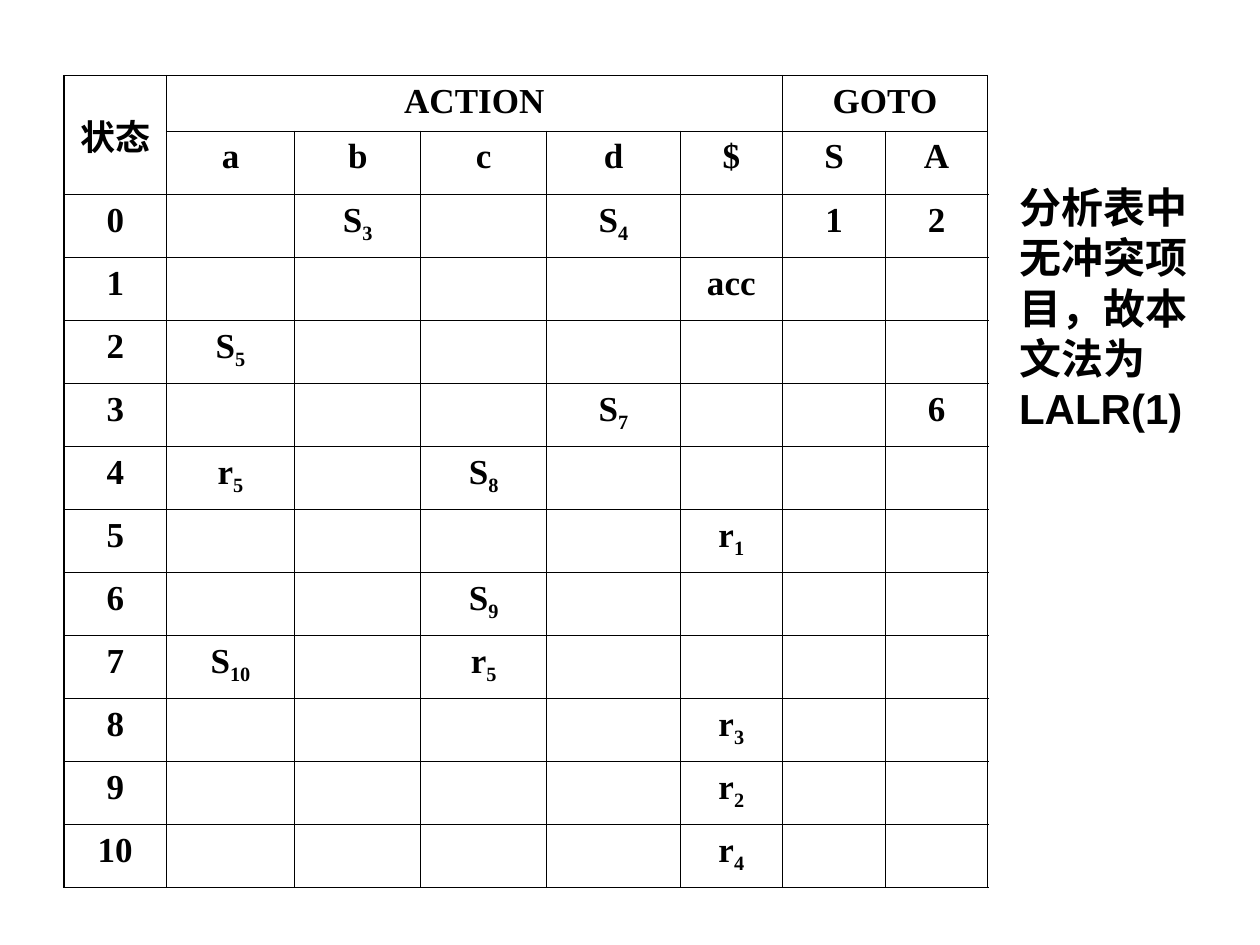
"""Build a slide with an LALR(1) parsing table and its conclusion."""
from dataclasses import dataclass
from typing import NamedTuple

from lxml.etree import SubElement
from pptx import Presentation
from pptx.dml.color import RGBColor
from pptx.enum.text import MSO_ANCHOR as Anchor, MSO_AUTO_SIZE as AutoSize, PP_ALIGN as Align
from pptx.oxml.ns import qn
from pptx.util import Inches, Pt


@dataclass(frozen=True)
class Theme:
    ink: str = "000000"
    table_font: str = "Times New Roman"
    note_font: str = "Arial"
    table_size: float = 20
    note_size: float = 24
    inner_line: float = 0.45
    outer_line: float = 1.08


class Entry(NamedTuple):
    text: str
    sub: str = ""


class Header(NamedTuple):
    row: int
    col: int
    last_row: int
    last_col: int
    text: str


THEME = Theme()
HEADERS = [
    Header(0, 0, 1, 0, "状态"),
    Header(0, 1, 0, 5, "ACTION"),
    Header(0, 6, 0, 7, "GOTO"),
]
SYMBOLS = "abcd$SA"
STATES = [
    {"b": Entry("S", "3"), "d": Entry("S", "4"), "S": Entry("1"), "A": Entry("2")},
    {"$": Entry("acc")},
    {"a": Entry("S", "5")},
    {"d": Entry("S", "7"), "A": Entry("6")},
    {"a": Entry("r", "5"), "c": Entry("S", "8")},
    {"$": Entry("r", "1")},
    {"c": Entry("S", "9")},
    {"a": Entry("S", "10"), "c": Entry("r", "5")},
    {"$": Entry("r", "3")},
    {"$": Entry("r", "2")},
    {"$": Entry("r", "4")},
]
COL_WIDTHS = [0.81, 1.02, 1, 1, 1.06, 0.81, 0.82, 0.81]
ROW_HEIGHTS = [0.44] * 2 + [0.5] * len(STATES)
NOTE = "分析表中无冲突项目，故本文法为LALR(1)"


def add_run(p, text: str, font: str, size: float, sub: bool = False) -> None:
    """Add a bold run, lowered when it is a subscript."""
    r = p.add_run()
    r.text = text
    for name, value in {"name": font, "size": Pt(size), "bold": True}.items():
        setattr(r.font, name, value)
    r.font.color.rgb = RGBColor.from_string(THEME.ink)
    if sub:
        r.font._element.set("baseline", "-25000")


def write_entry(cell, entry: Entry) -> None:
    """Write a centred entry with its optional subscript."""
    p = cell.text_frame.paragraphs[0]
    p.alignment = Align.CENTER
    add_run(p, entry.text, THEME.table_font, THEME.table_size)
    if entry.sub:
        add_run(p, entry.sub, THEME.table_font, THEME.table_size, sub=True)


def set_borders(cell, outer: dict[str, bool]) -> None:
    """Rule the four sides of a cell, heavier on the table's edge."""
    tc_pr = cell._tc.get_or_add_tcPr()
    for side, is_outer in outer.items():
        width = Pt(THEME.outer_line if is_outer else THEME.inner_line)
        ln = SubElement(tc_pr, qn(f"a:ln{side}"), w=str(int(width)))
        SubElement(SubElement(ln, qn("a:solidFill")), qn("a:srgbClr"), val=THEME.ink)


def add_parsing_table(s, left: float, top: float) -> None:
    """Draw the ACTION and GOTO table."""
    n_rows, n_cols = len(ROW_HEIGHTS), len(COL_WIDTHS)
    frame = s.shapes.add_table(n_rows, n_cols, Inches(left), Inches(top),
                               Inches(sum(COL_WIDTHS)), Inches(sum(ROW_HEIGHTS)))
    table = frame.table
    table.first_row = table.horz_banding = False
    for column, width in zip(table.columns, COL_WIDTHS):
        column.width = Inches(width)
    for row, height in zip(table.rows, ROW_HEIGHTS):
        row.height = Inches(height)

    for i in range(n_rows):
        for j in range(n_cols):
            cell = table.cell(i, j)
            set_borders(cell, {"L": j == 0, "R": j == n_cols - 1,
                               "T": i == 0, "B": i == n_rows - 1})
            cell.fill.background()

    for h in HEADERS:
        cell = table.cell(h.row, h.col)
        cell.merge(table.cell(h.last_row, h.last_col))
        write_entry(cell, Entry(h.text))
    table.cell(0, 0).vertical_anchor = Anchor.MIDDLE

    for j, symbol in enumerate(SYMBOLS, 1):
        write_entry(table.cell(1, j), Entry(symbol))
    for state, entries in enumerate(STATES):
        write_entry(table.cell(state + 2, 0), Entry(str(state)))
        for symbol, entry in entries.items():
            write_entry(table.cell(state + 2, SYMBOLS.index(symbol) + 1), entry)


def add_note(s, left: float, top: float, width: float, height: float) -> None:
    """Add the conclusion beside the table."""
    box = s.shapes.add_textbox(Inches(left), Inches(top), Inches(width), Inches(height))
    tf = box.text_frame
    for name, value in {"word_wrap": True, "auto_size": AutoSize.SHAPE_TO_FIT_TEXT}.items():
        setattr(tf, name, value)
    add_run(tf.paragraphs[0], NOTE, THEME.note_font, THEME.note_size)


def main() -> None:
    """Build and save the slide."""
    prs = Presentation()
    prs.slide_width, prs.slide_height = Inches(10), Inches(7.5)
    s = prs.slides.add_slide(prs.slide_layouts[6])
    add_parsing_table(s, 0.51, 0.6)
    add_note(s, 7.99, 1.39, 1.74, 2.1)
    prs.save("out.pptx")


if __name__ == "__main__":
    main()
